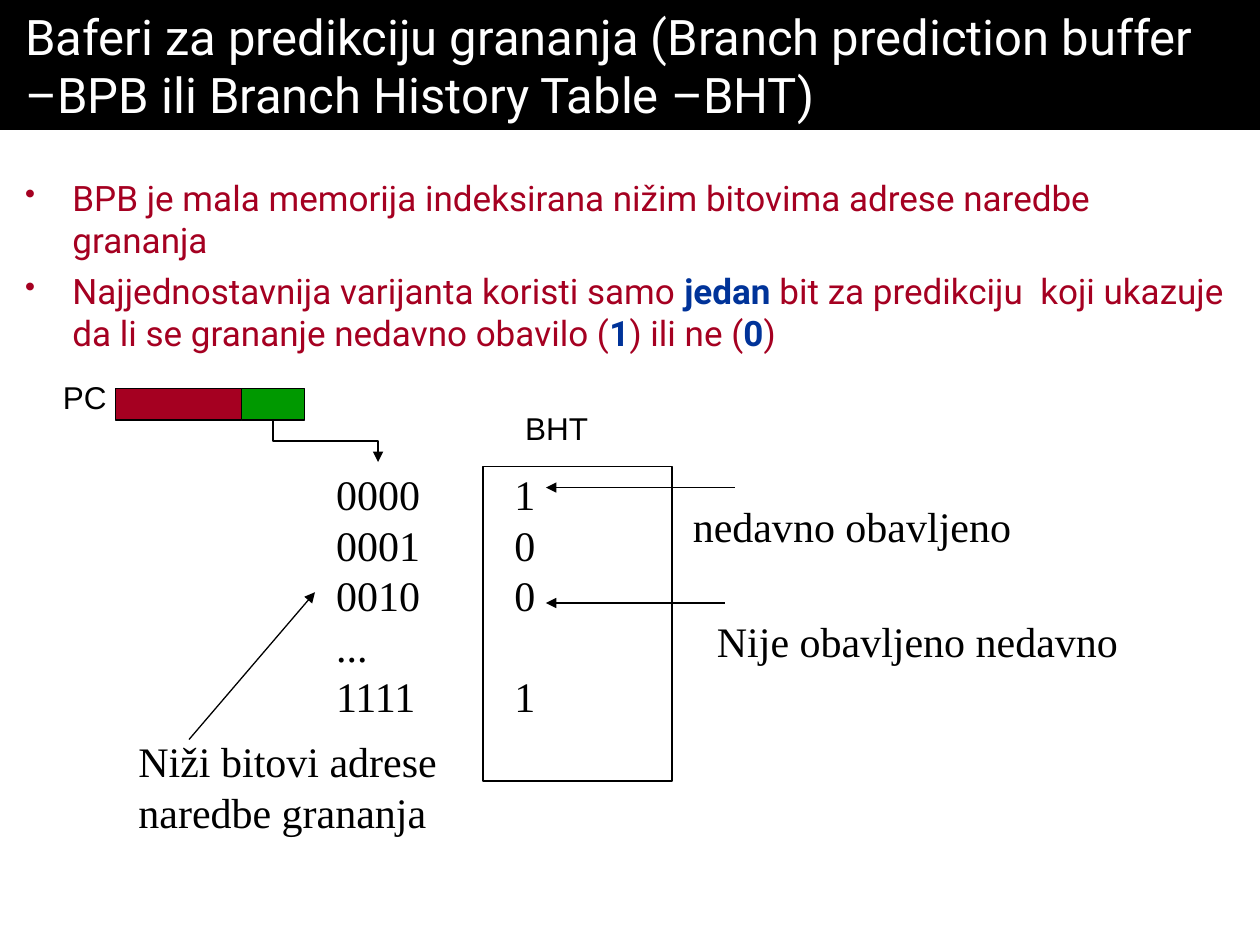
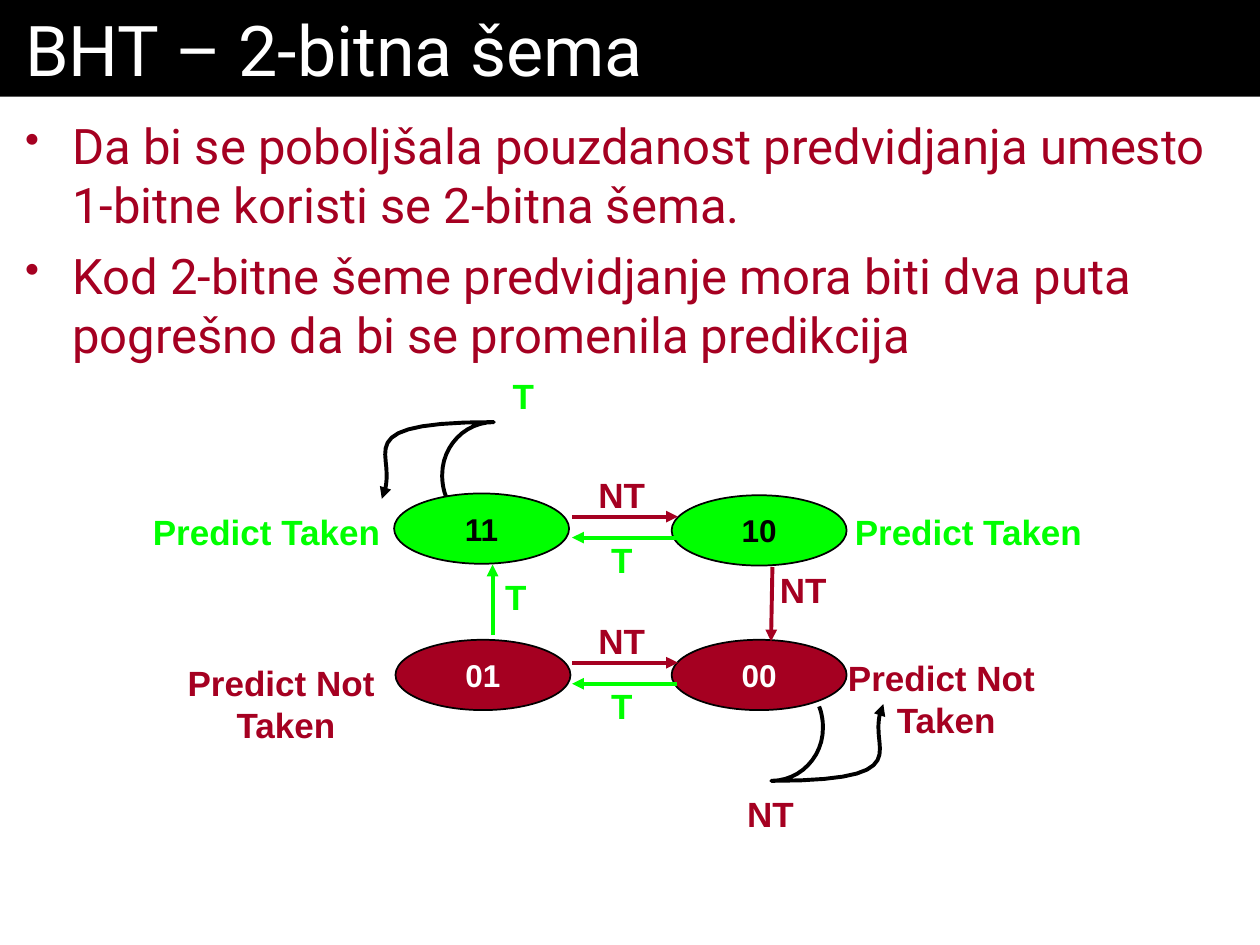
from lxml.etree import SubElement as Sub
from pptx import Presentation
from pptx.dml.color import RGBColor as RGB
from pptx.enum.shapes import MSO_CONNECTOR as Link, MSO_SHAPE as Form
from pptx.enum.text import MSO_ANCHOR as Anchor, PP_ALIGN as Align
from pptx.oxml.ns import qn
from pptx.util import Pt

BLACK, WHITE = RGB(0, 0, 0), RGB(255, 255, 255)
RED, NAVY = RGB(0xA5, 0x00, 0x21), RGB(0x00, 0x33, 0x99)
GREEN, LIME = RGB(0x00, 0x99, 0x00), RGB(0x00, 0xFF, 0x00)


def put(page, spot, text="", form=None, fill=None, edge=None, size=24,
        font="Times New Roman", color=BLACK, bold=False, align=Align.LEFT,
        anchor=Anchor.TOP, pad=(7.2, 3.6), wrap=True, bullet=False, gaps=()):
    """Place a box or preset shape; lines are paragraphs, *marked* words stand out."""
    spot = [Pt(v) for v in spot]
    if form is None:
        box = page.shapes.add_textbox(*spot)
    else:
        box = page.shapes.add_shape(form, *spot)
        box.shadow.inherit = False
        box.line.fill.background()
        box.fill.background()
    if fill is not None:
        box.fill.solid()
        box.fill.fore_color.rgb = fill
    if edge:
        box.line.color.rgb = BLACK
        box.line.width = Pt(edge)
    if not text:
        return
    frame = box.text_frame
    frame.word_wrap = wrap
    frame.vertical_anchor = anchor
    frame.margin_left = frame.margin_right = Pt(pad[0])
    frame.margin_top = frame.margin_bottom = Pt(pad[1])
    for i, line in enumerate(text.split("\n")):
        para = frame.paragraphs[0] if i == 0 else frame.add_paragraph()
        if bullet:
            props = para._p.get_or_add_pPr()
            props.set("marL", str(Pt(27)))
            props.set("indent", str(-Pt(27)))
            Sub(Sub(props, qn("a:buClr")), qn("a:srgbClr"), val=str(color))
            Sub(props, qn("a:buSzPct"), val="85000")
            Sub(props, qn("a:buChar"), char="•")
        else:
            para.line_spacing = Pt(1.2 * size)
        para.alignment = align
        if i and gaps:
            para.space_before = Pt(gaps[i - 1])
        for j, part in enumerate(line.split("*")):
            run = para.add_run()
            run.text = part
            run.font.name, run.font.size = font, Pt(size)
            run.font.bold = bold or j % 2 == 1
            run.font.color.rgb = NAVY if j % 2 else color


def tip(line, color=BLACK, width=0.75):
    """Style a line and end it with an arrowhead."""
    line.line.color.rgb = color
    line.line.width = Pt(width)
    props = line.element.spPr
    Sub(props.get_or_add_ln(), qn("a:tailEnd"), type="triangle")
    Sub(props, qn("a:effectLst"))


deck = Presentation()
deck.slide_width, deck.slide_height = Pt(720), Pt(540)

# Title bands and bullet text
heads = [
    ("Baferi za predikciju grananja (Branch prediction buffer "
     "–BPB ili Branch History Table –BHT)", 28, 74.2,
     "BPB je mala memorija indeksirana nižim bitovima adrese naredbe grananja\n"
     "Najjednostavnija varijanta koristi samo *jedan* bit za predikciju  koji "
     "ukazuje da li se grananje nedavno obavilo (*1*) ili ne (*0*)", 20, 90, 5),
    ("BHT – 2-bitna šema", 40, 55.2,
     "Da bi se poboljšala pouzdanost predvidjanja umesto 1-bitne koristi se "
     "2-bitna šema.\nKod 2-bitne šeme predvidjanje mora biti dva puta pogrešno "
     "da bi se promenila predikcija", 28, 55.2, 7),
]
pages = []
for title, big, high, body, size, top, gap in heads:
    page = deck.slides.add_slide(deck.slide_layouts[6])
    pages.append(page)
    put(page, (0, 0, 720, high), title, fill=BLACK, size=big, font="Roboto",
        color=WHITE, pad=(14.4, 3.6))
    put(page, (0, top, 720, 540 - top), body, size=size, font="Roboto",
        color=RED, pad=(14.4, 10.8), bullet=True, gaps=(gap,))
table, states = pages

# Slide 1: program counter indexing the history table
put(table, (276, 266.4, 108, 180), form=Form.RECTANGLE, edge=0.75)
put(table, (66, 222, 72, 18), form=Form.RECTANGLE, fill=RED, edge=0.75)
put(table, (138, 222, 36, 18), form=Form.RECTANGLE, fill=GREEN, edge=0.75)
put(table, (28.8, 212.4, 46, 28.8), "PC", size=18, font="Arial")
put(table, (293, 230.4, 58, 28.8), "BHT", size=18, font="Arial")
put(table, (72, 417, 195, 64.8), "Niži bitovi adrese\nnaredbe grananja")
put(table, (185, 264.4, 72, 151.2), "0000\n0001\n0010\n...\n1111")
put(table, (286.8, 264.4, 32, 151.2), "1\n0\n0\n1", gaps=(0, 0, 28.8))
put(table, (388.8, 282.4, 210, 36), "nedavno obavljeno")
put(table, (402.6, 348, 258, 36), "Nije obavljeno nedavno")
for ends in [(108, 422.6, 180, 338.4), (420, 278.6, 312, 278.6),
             (414, 344.6, 312, 344.6)]:
    tip(table.shapes.add_connector(Link.STRAIGHT, *[Pt(v) for v in ends]))
bend = table.shapes.add_connector(Link.ELBOW, Pt(198), Pt(222), Pt(174), Pt(282))
bend.element.spPr.xfrm.set("rot", str(270 * 60000))
tip(bend)

# Slide 2: states of the two-bit predictor
for name, x, y, fill, ink in [
        ("11", 225.2, 282, LIME, BLACK), ("10", 383.8, 283, LIME, BLACK),
        ("01", 226, 365.6, RED, WHITE), ("00", 383.8, 365.6, RED, WHITE)]:
    put(states, (x, y, 100, 40.2), name, form=Form.OVAL, fill=fill, edge=1,
        size=18, font="Arial", color=ink, bold=True, align=Align.CENTER,
        anchor=Anchor.MIDDLE, wrap=False)

yes, no = "Predict Taken", "Predict Not \nTaken"
for text, x, y, wide, color in [
        ("T", 285.8, 210.2, 26.6, LIME), ("T", 281.5, 325.4, 26.6, LIME),
        ("NT", 438.5, 321.1, 41, RED), ("NT", 419.8, 449.3, 41, RED),
        (yes, 79.6, 288, 145.4, LIME), (yes, 480.7, 288, 145.4, LIME),
        (no, 100.1, 374.4, 126.7, RED), (no, 477.4, 371.5, 126.7, RED),
        ("NT", 334.8, 267.3, 41, RED), ("T", 342, 304.4, 26.6, LIME),
        ("NT", 334.8, 350.5, 41, RED), ("T", 342, 387.6, 26.6, LIME)]:
    put(states, (x, y, wide, 31 + 24 * text.count("\n")), text, size=20,
        font="Arial", color=color, bold=True, align=Align.CENTER, wrap=False)

moves = [((281.5, 362.9, 281.5, 322.6), LIME), ((441.4, 324, 440.6, 366.5), RED)]
for y in (295.2, 378.7):
    moves += [((326.9, y, 387.4, y), RED), ((386.6, y + 12, 326.9, y + 12), LIME)]
for ends, color in moves:
    tip(states.shapes.add_connector(Link.STRAIGHT, *[Pt(v) for v in ends]),
        color, 2.25)

# Self loops: the lower one is the upper one turned by half
curve = [(254.9, 283.7), (253.4, 280.1), (252.7, 275.8), (252.7, 271.4),
         (252.7, 254.9), (265.7, 241.2), (282.2, 241.2),
         (208.1, 241.2), (221, 254.9), (221, 271.4),
         (221, 275.8), (220.3, 280.8), (218.2, 285.1)]
for loop in (curve, [(723 - x, 687.4 - y) for x, y in curve]):
    trace = []
    for i in range(0, 12, 3):
        for t in [k / 12 for k in range(1, 13)]:
            part = ((1 - t) ** 3, 3 * t * (1 - t) ** 2, 3 * t * t * (1 - t), t ** 3)
            trace.append([Pt(sum(w * p[axis] for w, p in zip(part, loop[i:i + 4])))
                          for axis in (0, 1)])
    pen = states.shapes.build_freeform(Pt(loop[0][0]), Pt(loop[0][1]))
    pen.add_line_segments(trace, close=False)
    path = pen.convert_to_shape()
    path.fill.background()
    tip(path, width=2.25)

deck.save("out.pptx")
